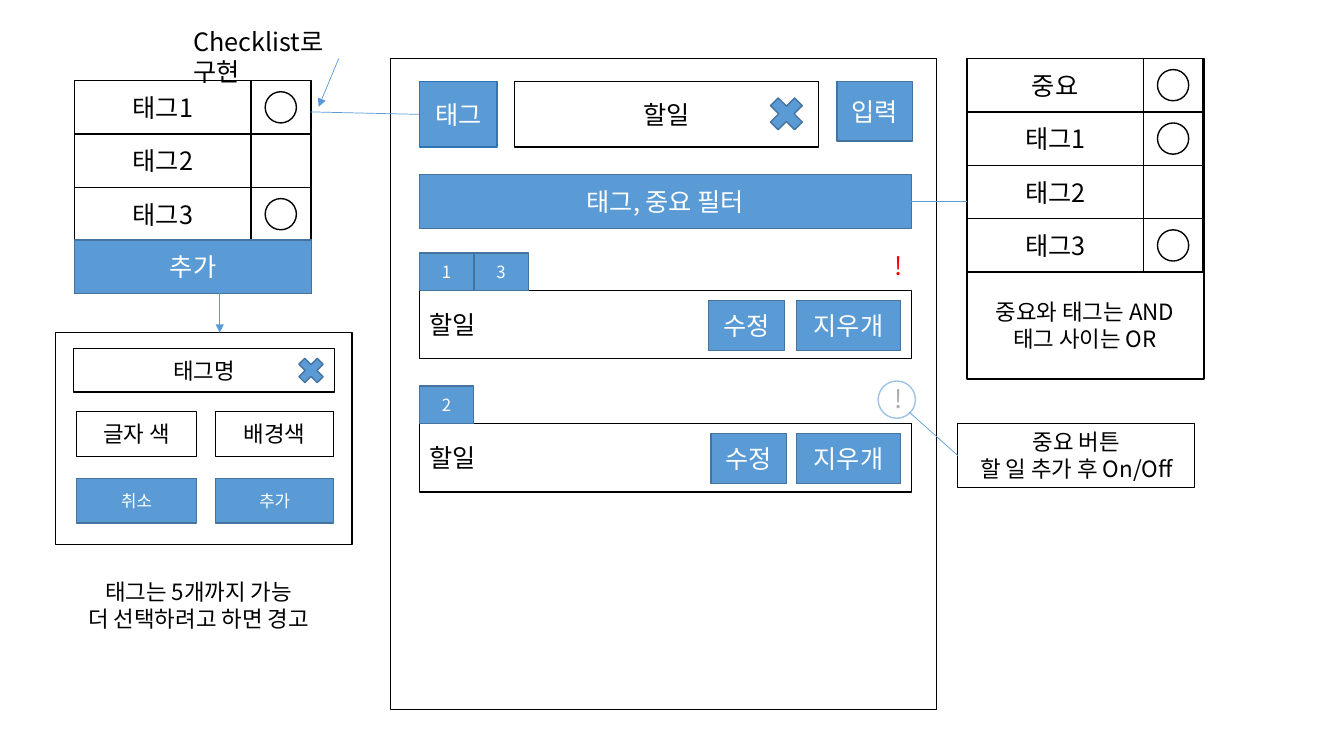
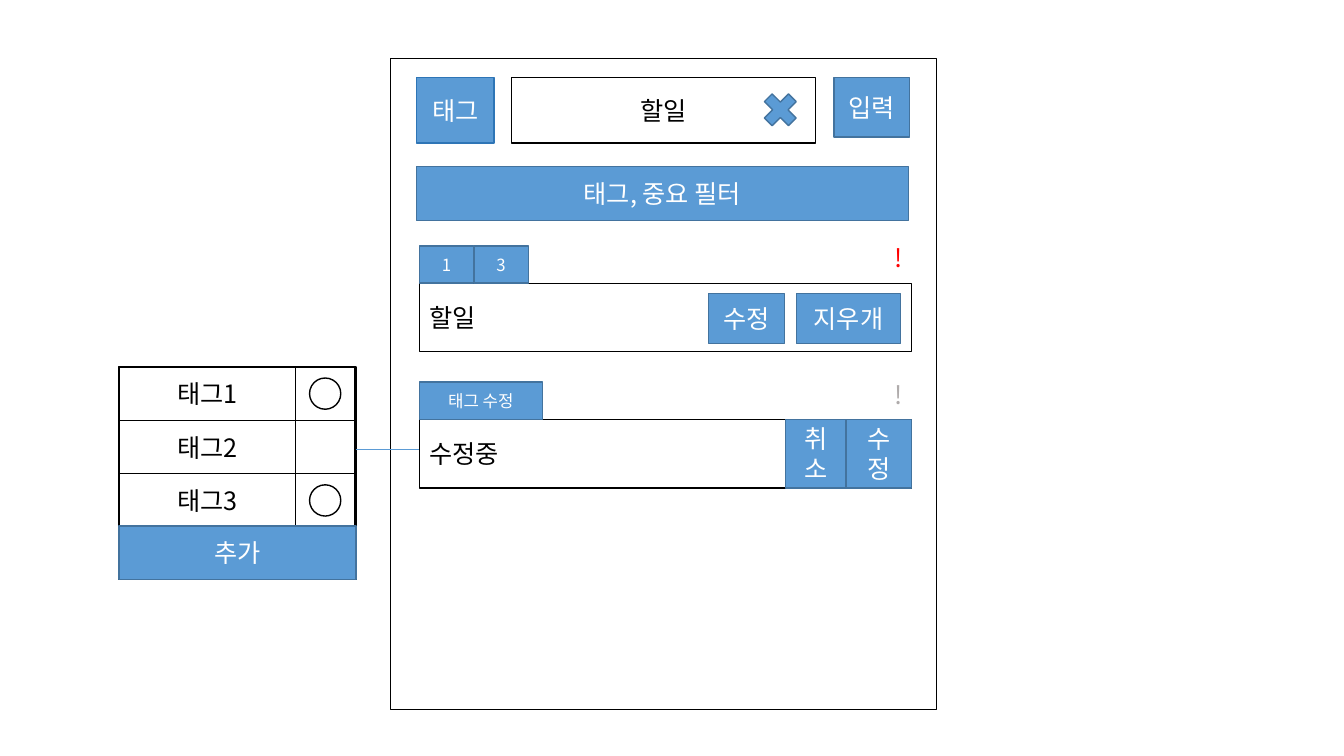
from lxml.etree import SubElement
from pptx import Presentation
from pptx.dml.color import RGBColor
from pptx.enum.shapes import MSO_CONNECTOR, MSO_SHAPE
from pptx.enum.text import MSO_ANCHOR, MSO_AUTO_SIZE, PP_ALIGN
from pptx.oxml.ns import qn
from pptx.util import Inches, Pt

BLACK = RGBColor(0x00, 0x00, 0x00)
WHITE = RGBColor(0xFF, 0xFF, 0xFF)
BLUE = RGBColor(0x5B, 0x9B, 0xD5)
NAVY = RGBColor(0x43, 0x73, 0x9E)
DEEP = RGBColor(0x2E, 0x75, 0xB6)
PALE = RGBColor(0x9D, 0xC3, 0xE6)
RED = RGBColor(0xFF, 0x00, 0x00)
GREY = RGBColor(0xAF, 0xAB, 0xAB)
FONT = "Noto Sans CJK KR"

# Looks: fill, line, text colour
LOOKS = {
    "box": (None, BLACK, BLACK),
    "key": (BLUE, NAVY, WHITE),
    "tag": (BLUE, DEEP, WHITE),
    "ring": (None, PALE, BLACK),
    "text": (None, None, BLACK),
    "hot": (WHITE, None, RED),
    "cold": (WHITE, None, GREY),
}
FIXED = {"vertical_anchor": MSO_ANCHOR.MIDDLE, "word_wrap": True}
FREE = {"vertical_anchor": MSO_ANCHOR.TOP, "word_wrap": False,
        "auto_size": MSO_AUTO_SIZE.SHAPE_TO_FIT_TEXT}
WRAP = {**FREE, "word_wrap": True}
LEFT, MID = PP_ALIGN.LEFT, PP_ALIGN.CENTER
RECT, OVAL, CROSS = MSO_SHAPE.RECTANGLE, MSO_SHAPE.OVAL, MSO_SHAPE.MATH_MULTIPLY


def add(page, at, text="", look="box", size=18, kind=RECT, align=MID, flow=FIXED):
    """Draw one box, icon or piece of text."""
    spot = [Inches(v) for v in at]
    if look == "text":
        shape = page.shapes.add_textbox(*spot)
    else:
        shape = page.shapes.add_shape(kind, *spot)
    shape.shadow.inherit = False
    fill, line, ink = LOOKS[look]
    for part, tone in ((shape.fill, fill), (shape.line.fill, line)):
        if tone is None:
            part.background()
        else:
            part.solid()
            part.fore_color.rgb = tone
    if line is not None:
        shape.line.width = Pt(1)
    if text:
        frame = shape.text_frame
        frame.text = text
        for name, value in flow.items():
            setattr(frame, name, value)
        for para in frame.paragraphs:
            para.alignment = align
            for run in para.runs:
                for name, value in {"name": FONT, "size": Pt(size)}.items():
                    setattr(run.font, name, value)
                run.font.color.rgb = ink
        for props in shape.element.iter(qn("a:rPr")):
            SubElement(props, qn("a:ea"), typeface=FONT)
    return shape


def join(page, start, end, arrow=False):
    """Draw a thin blue line, with an arrowhead at its end if asked."""
    line = page.shapes.add_connector(
        MSO_CONNECTOR.STRAIGHT, *[Inches(v) for v in start + end])
    line.line.color.rgb = BLUE
    line.line.width = Pt(0.5)
    props = line.element.spPr
    if arrow:
        SubElement(props.find(qn("a:ln")), qn("a:tailEnd"), type="triangle")
    SubElement(props, qn("a:effectLst"))
    return line


deck = Presentation()
deck.slide_width, deck.slide_height = Inches(13.33), Inches(7.5)
main, edit = [deck.slides.add_slide(deck.slide_layouts[6]) for _ in range(2)]

# App window with its input bar: left, top, clear icon left, filter top
heads = []
for page, x, y, clear, low in ((main, 4.16, 0.81, 7.57, 1.73),
                               (edit, 4.13, 0.77, 7.51, 1.65)):
    add(page, (3.87, 0.58, 5.42, 6.46))
    add(page, (x + 0.94, y, 3.02, 0.65), "할일")
    tag = add(page, (x, y, 0.77, 0.65), "태그", "tag")
    add(page, (x + 4.14, y, 0.75, 0.59), "입력", "key")
    add(page, (clear, y + 0.09, 0.46, 0.46), look="key", kind=CROSS)
    bar = add(page, (x, low, 4.88, 0.54), "태그, 중요 필터", "key")
    heads.append((tag, bar))

# To-do rows: top, text, tags as (text, width), alert look, buttons as (text, left, width)
ROWS = (
    (main, 2.88, "할일", (("1", 0.54), ("3", 0.54)), "hot",
     (("수정", 7.03, 0.75), ("지우개", 7.9, 1.03))),
    (main, 4.2, "할일", (("2", 0.54),), "cold",
     (("수정", 7.05, 0.75), ("지우개", 7.9, 1.03))),
    (edit, 2.81, "할일", (("1", 0.54), ("3", 0.54)), "hot",
     (("수정", 7.03, 0.75), ("지우개", 7.9, 1.03))),
    (edit, 4.16, "수정중", (("태그 수정", 1.22),), "cold",
     (("취소", 7.79, 0.6), ("수정", 8.39, 0.65))),
)
for page, y, text, tags, alert, keys in ROWS:
    add(page, (4.16, y, 4.88, 0.68), text, align=LEFT)
    x = 4.16
    for name, wide in tags:
        add(page, (x, y - 0.37, wide, 0.37), name, "key", 12)
        x += wide
    add(page, (8.77, y - 0.45, 0.28, 0.4), "!", alert, align=LEFT, flow=FREE)
    inset, high = (0, 0.68) if text == "수정중" else (0.1, 0.5)
    for name, left, wide in keys:
        add(page, (left, y + inset, wide, high), name, "key")

# Tag lists: left, top, frame height, labels with a check mark or none
CELL = 0.53
TAGS = (("태그1", True), ("태그2", False), ("태그3", True))
for page, x, y, high, items in ((main, 0.74, 0.8, 2.11, TAGS),
                                (main, 9.59, 0.58, 3.18, (("중요", True),) + TAGS),
                                (edit, 1.18, 3.64, 2.11, TAGS)):
    add(page, (x, y, 2.35, high))
    for i, (name, checked) in enumerate(items):
        top = y + i * CELL
        add(page, (x, top, 1.75, CELL), name)
        add(page, (x + 1.75, top, 0.59, CELL))
        if checked:
            add(page, (x + 1.89, top + 0.11, 0.31, 0.31), kind=OVAL)
    if items is TAGS:
        add(page, (x, y + 1.58, 2.35, CELL), "추가", "key")

# Dialog for a new tag
add(main, (0.55, 3.3, 2.94, 2.1))
add(main, (0.73, 3.46, 2.59, 0.43), "태그명", size=16)
add(main, (2.91, 3.5, 0.35, 0.35), look="key", kind=CROSS)
for x, wide, name, act in ((0.76, 1.19, "글자 색", "취소"),
                           (2.14, 1.17, "배경색", "추가")):
    add(main, (x, 4.08, wide, 0.45), name, size=16)
    add(main, (x, 4.75, wide, 0.44), act, "key", 12)

# Remarks
add(main, (1.82, 0.21, 1.95, 0.4), "Checklist로 구현", "text", align=LEFT, flow=WRAP)
for at, text in (((9.64, 2.91, 2.24, 0.64), "중요와 태그는 AND\n태그 사이는 OR"),
                 ((0.63, 5.69, 2.68, 0.64), "태그는 5개까지 가능\n더 선택하려고 하면 경고")):
    add(main, at, text, "text", 16, flow=FREE)
note = add(main, (9.5, 4.2, 2.35, 0.64), "중요 버튼\v할 일 추가 후 On/Off", size=16, flow=FREE)
note.line.width = Pt(0.75)
add(main, (8.71, 3.78, 0.37, 0.37), look="ring", kind=OVAL)

# Lines and arrows
tag, bar = heads[0]
join(main, (3.36, 0.58), (3.16, 1.06), True)
join(main, (2.18, 2.82), (2.18, 3.3), True)
join(main, (4.16, 1.13), (3.07, 1.11)).begin_connect(tag, 1)
join(main, (9.04, 2), (9.59, 2)).begin_connect(bar, 3)
join(main, (9.02, 4.09), (9.5, 4.52)).end_connect(note, 1)
join(edit, (3.53, 4.46), (4.16, 4.46))

deck.save("out.pptx")
